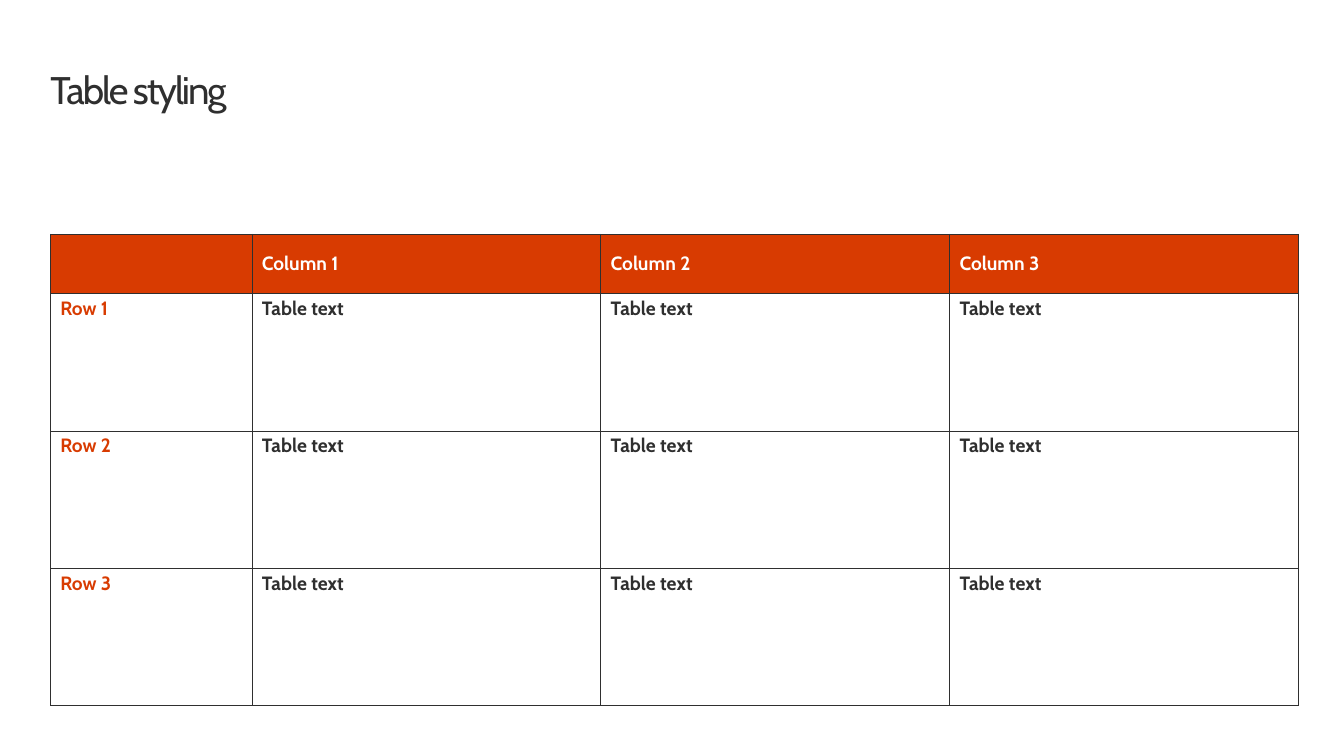
from dataclasses import dataclass

from lxml.etree import SubElement
from pptx import Presentation
from pptx.dml.color import RGBColor
from pptx.enum.text import MSO_ANCHOR as Anchor
from pptx.oxml.ns import qn
from pptx.table import _Cell as Cell
from pptx.text.text import TextFrame
from pptx.util import Inches, Pt

FONT = "Cabin"
INK = "2F2F2F"
ACCENT = "D83B01"
WHITE = "FFFFFF"

LEFT, WIDTH = 0.51, 12.61
COLUMN_WIDTHS = [2.04] + [3.53] * 3
ROW_HEIGHTS = [0.6] + [1.39] * 3


@dataclass
class TextStyle:
    size: float
    leading: float
    color: str
    bold: bool = False
    tracking: int = 0


@dataclass
class CellSpec:
    text: str
    color: str
    fill: str = WHITE
    anchor: Anchor = Anchor.TOP


def rgb(value: str) -> RGBColor:
    return RGBColor.from_string(value)


def write(frame: TextFrame, text: str, style: TextStyle) -> None:
    paragraph = frame.paragraphs[0]
    paragraph.line_spacing = Pt(style.leading)
    run = paragraph.add_run()
    run.text = text
    font = run.font
    font.name = FONT
    font.size = Pt(style.size)
    font.bold = style.bold
    font.color.rgb = rgb(style.color)
    if style.tracking:
        run._r.get_or_add_rPr().set("spc", str(style.tracking))


def add_borders(cell: Cell, color: str, width: float) -> None:
    properties = cell._tc.get_or_add_tcPr()
    for side in ("lnL", "lnR", "lnT", "lnB"):
        border = SubElement(properties, qn(f"a:{side}"), w=str(Pt(width)))
        paint = SubElement(border, qn("a:solidFill"))
        SubElement(paint, qn("a:srgbClr"), val=color)


def draw_cell(cell: Cell, spec: CellSpec) -> None:
    add_borders(cell, INK, 0.5)
    cell.fill.solid()
    cell.fill.fore_color.rgb = rgb(spec.fill)
    cell.vertical_anchor = spec.anchor
    if spec.text:
        write(cell.text_frame, spec.text, TextStyle(14, 16, spec.color, bold=True))


def cell_spec(row: int, column: int) -> CellSpec:
    if row == 0:
        heading = f"Column {column}" if column else ""
        return CellSpec(heading, WHITE, ACCENT, Anchor.MIDDLE)
    if column == 0:
        return CellSpec(f"Row {row}", ACCENT)
    return CellSpec("Table text", INK)


def main() -> None:
    deck = Presentation()
    deck.slide_width, deck.slide_height = Inches(13.6), Inches(7.65)
    slide = deck.slides.add_slide(deck.slide_layouts[6])

    title = slide.shapes.add_textbox(
        Inches(LEFT), Inches(0.69), Inches(WIDTH), Inches(0.45)
    ).text_frame
    title.word_wrap = True
    title.margin_left = title.margin_right = 0
    title.margin_top = title.margin_bottom = 0
    write(title, "Table styling", TextStyle(28, 32, INK, tracking=-150))

    table = slide.shapes.add_table(
        len(ROW_HEIGHTS), len(COLUMN_WIDTHS),
        Inches(LEFT), Inches(2.37), Inches(WIDTH), Inches(sum(ROW_HEIGHTS)),
    ).table
    table.horz_banding = False
    for column, width in zip(table.columns, COLUMN_WIDTHS):
        column.width = Inches(width)
    for row, height in zip(table.rows, ROW_HEIGHTS):
        row.height = Inches(height)
    for row in range(len(ROW_HEIGHTS)):
        for column in range(len(COLUMN_WIDTHS)):
            draw_cell(table.cell(row, column), cell_spec(row, column))

    deck.save("out.pptx")


if __name__ == "__main__":
    main()
